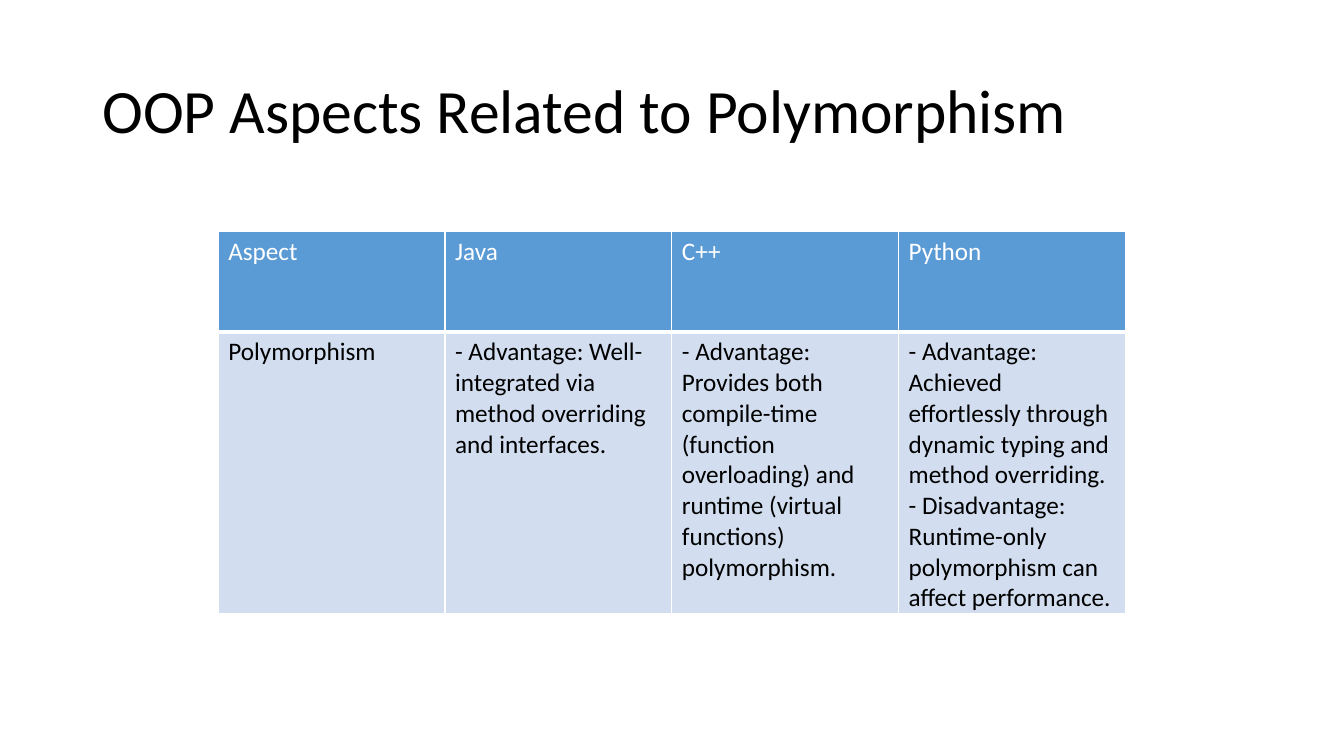
import pptx
import pptx.dml.color
import pptx.enum.text
import pptx.oxml
import pptx.oxml.ns
import pptx.util
from pptx.util import Cm

WHITE, BLACK = "FFFFFF", "000000"
HEADER_FILL, BODY_FILL = "5B9BD5", "D2DEEF"
COLUMN_WIDTH = 5.715
ROW_HEIGHTS = [2.54, 7.11]

ROWS = [
    [["Aspect"], ["Java"], ["C++"], ["Python"]],
    [
        ["Polymorphism"],
        ["- Advantage: Well-integrated via method overriding and interfaces."],
        ["- Advantage: Provides both compile-time (function overloading) "
         "and runtime (virtual functions) polymorphism."],
        ["- Advantage: Achieved effortlessly through dynamic typing and method overriding.",
         "- Disadvantage: Runtime-only polymorphism can affect performance."],
    ],
]


def add_text(paragraph, text, size, color):
    run = paragraph.add_run()
    run.text = text
    run.font.name = "Calibri"
    run.font.size = pptx.util.Pt(size)
    run.font.color.rgb = pptx.dml.color.RGBColor.from_string(color)


def set_borders(cell, widths):
    """Draw white cell edges; widths maps L, R, T, B to points."""
    properties = cell._tc.get_or_add_tcPr()
    for position, (side, width) in enumerate(widths.items()):
        edge = pptx.oxml.parse_xml(
            f'<a:ln{side} {pptx.oxml.ns.nsdecls("a")} w="{pptx.util.Pt(width)}">'
            f'<a:solidFill><a:srgbClr val="{WHITE}"/></a:solidFill></a:ln{side}>')
        properties.insert(position, edge)


presentation = pptx.Presentation()
presentation.slide_width = Cm(33.87)
presentation.slide_height = Cm(19.05)
slide = presentation.slides.add_slide(presentation.slide_layouts[6])

title = slide.shapes.add_textbox(Cm(2.33), Cm(1.01), Cm(29.21), Cm(3.68)).text_frame
title.word_wrap = True
title.vertical_anchor = pptx.enum.text.MSO_ANCHOR.MIDDLE
title.paragraphs[0].line_spacing = 0.9
add_text(title.paragraphs[0], "OOP Aspects Related to Polymorphism", 44, BLACK)

comparison = slide.shapes.add_table(
    len(ROWS), len(ROWS[0]), Cm(5.5), Cm(5.82),
    Cm(COLUMN_WIDTH * len(ROWS[0])), Cm(sum(ROW_HEIGHTS))).table

for row_index, row in enumerate(ROWS):
    is_header = row_index == 0
    comparison.rows[row_index].height = Cm(ROW_HEIGHTS[row_index])
    for column_index, lines in enumerate(row):
        cell = comparison.cell(row_index, column_index)
        cell.fill.solid()
        cell.fill.fore_color.rgb = pptx.dml.color.RGBColor.from_string(
            HEADER_FILL if is_header else BODY_FILL)
        set_borders(cell, {"L": 1, "R": 1, "T": 1, "B": 3 if is_header else 1})
        for line_index, line in enumerate(lines):
            frame = cell.text_frame
            paragraph = frame.add_paragraph() if line_index else frame.paragraphs[0]
            add_text(paragraph, line, 18, WHITE if is_header else BLACK)
            paragraph.runs[0].font.bold = False

presentation.save("out.pptx")
